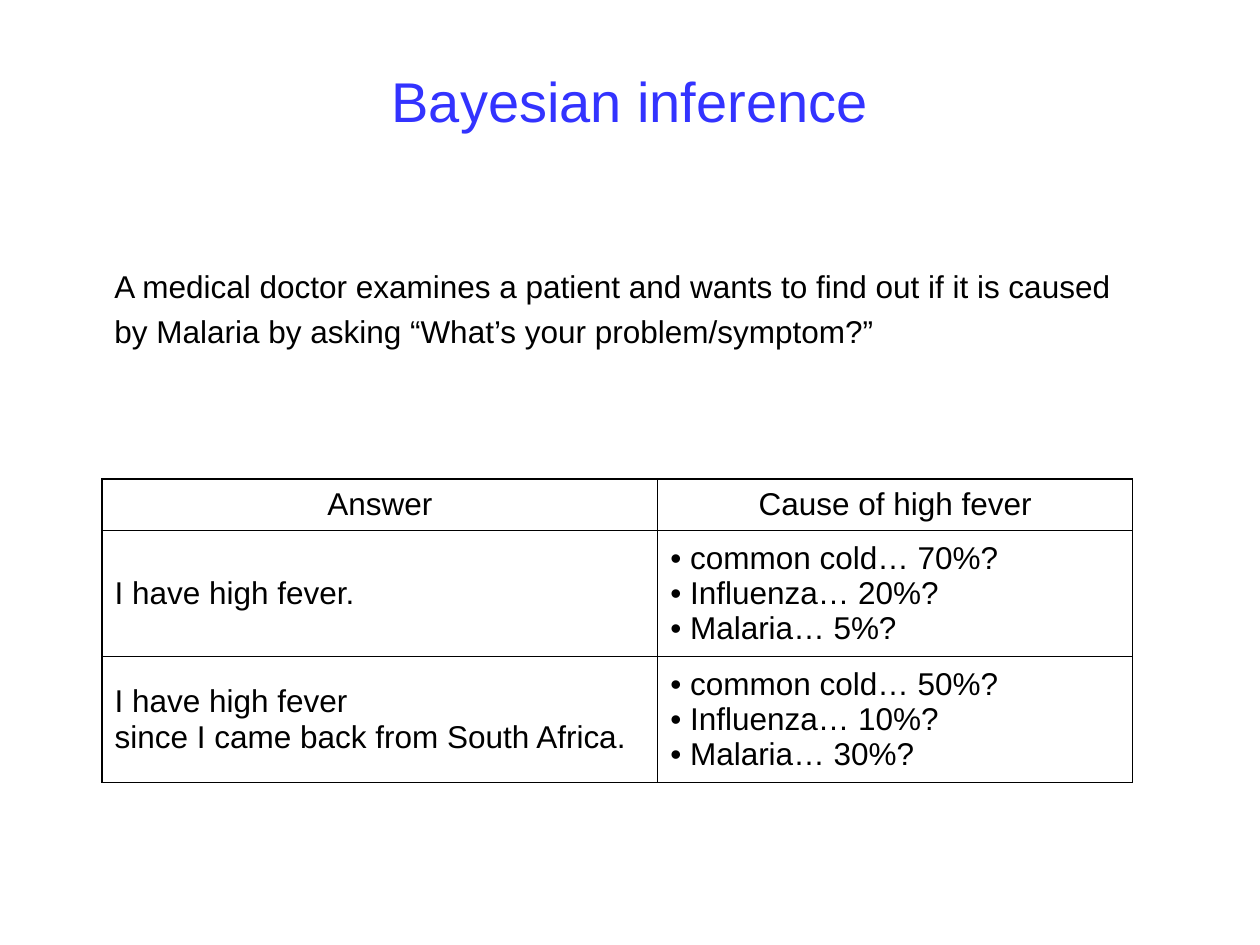
from pptx import Presentation
from pptx.dml.color import RGBColor
from pptx.enum import text
from pptx.oxml import parse_xml
from pptx.oxml.ns import nsdecls
from pptx.util import Inches, Pt

BLUE = RGBColor(0x33, 0x33, 0xFF)
BLACK = RGBColor(0, 0, 0)
FONT = "Arial"

TITLE = "Bayesian inference"
QUESTION = ("A medical doctor examines a patient and wants to find out if it is "
            "caused by Malaria by asking “What’s your problem/symptom?”")
HEADER = [["Answer"], ["Cause of high fever"]]
CASES = [
    [["I have high fever."],
     ["• common cold… 70%?", "• Influenza… 20%?", "• Malaria… 5%?"]],
    [["I have high fever", "since I came back from South Africa."],
     ["• common cold… 50%?", "• Influenza… 10%?", "• Malaria… 30%?"]],
]
COLUMN_WIDTHS = [4.41, 3.77]
ROW_HEIGHTS = [0.41, 0.94, 0.94]


def write(frame, lines, size=18, color=BLACK, align=text.PP_ALIGN.LEFT, spacing=1.0):
    frame.word_wrap = True
    for index, line in enumerate(lines):
        para = frame.paragraphs[0] if index == 0 else frame.add_paragraph()
        para.text = line
        para.alignment = align
        para.line_spacing = spacing
        para.font.name = FONT
        para.font.size = Pt(size)
        para.font.color.rgb = color


def add_text(page, bounds, lines, anchor, **style):
    box = page.shapes.add_textbox(*map(Inches, bounds))
    box.text_frame.vertical_anchor = anchor
    write(box.text_frame, lines, **style)


def outline(cell):
    """Draw a thin black border on all four sides of an unfilled cell."""
    properties = cell._tc.get_or_add_tcPr()
    for position, side in enumerate(("lnL", "lnR", "lnT", "lnB")):
        properties.insert(position, parse_xml(
            f'<a:{side} {nsdecls("a")} w="{Pt(1)}"><a:solidFill>'
            f'<a:srgbClr val="{BLACK}"/></a:solidFill></a:{side}>'))


def add_case_table(page):
    rows = [HEADER] + CASES
    table = page.shapes.add_table(
        len(rows), len(COLUMN_WIDTHS), Inches(0.81), Inches(3.8),
        Inches(sum(COLUMN_WIDTHS)), Inches(sum(ROW_HEIGHTS))).table
    table.first_row = table.horz_banding = False
    for column, width in zip(table.columns, COLUMN_WIDTHS):
        column.width = Inches(width)
    for r, (row, height) in enumerate(zip(rows, ROW_HEIGHTS)):
        table.rows[r].height = Inches(height)
        align = text.PP_ALIGN.CENTER if r == 0 else text.PP_ALIGN.LEFT
        for c, lines in enumerate(row):
            cell = table.cell(r, c)
            cell.fill.background()
            cell.vertical_anchor = text.MSO_ANCHOR.MIDDLE
            write(cell.text_frame, lines, align=align)
            outline(cell)


def main():
    deck = Presentation()
    deck.slide_width, deck.slide_height = Inches(10), Inches(7.5)
    page = deck.slides.add_slide(deck.slide_layouts[6])
    add_text(page, (0.69, 0.4, 8.62, 0.85), [TITLE], text.MSO_ANCHOR.MIDDLE,
             size=32, color=BLUE, align=text.PP_ALIGN.CENTER, spacing=0.9)
    add_text(page, (0.81, 2.01, 8.2, 0.88), [QUESTION], text.MSO_ANCHOR.TOP,
             spacing=1.2)
    add_case_table(page)
    deck.save("out.pptx")


if __name__ == "__main__":
    main()
